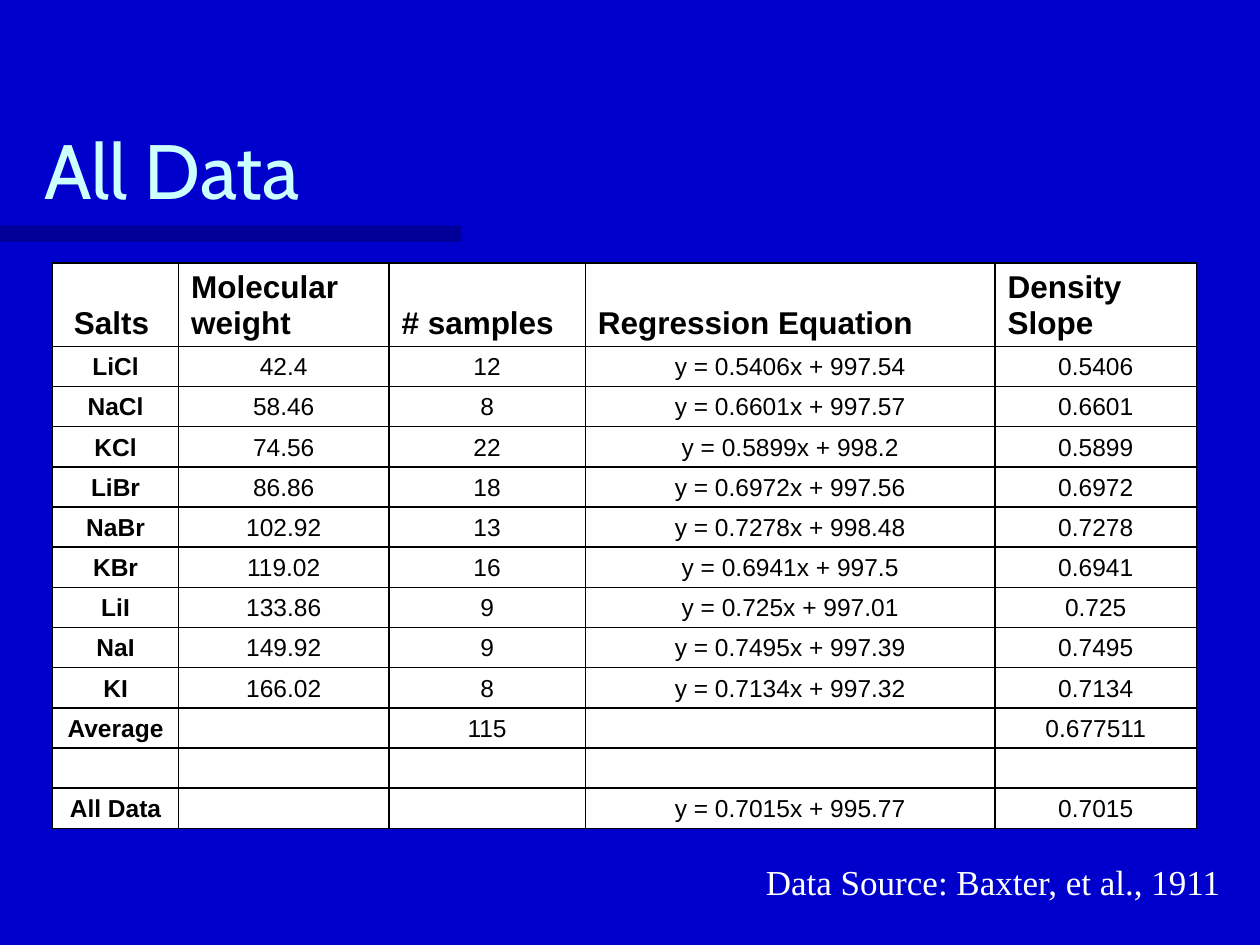
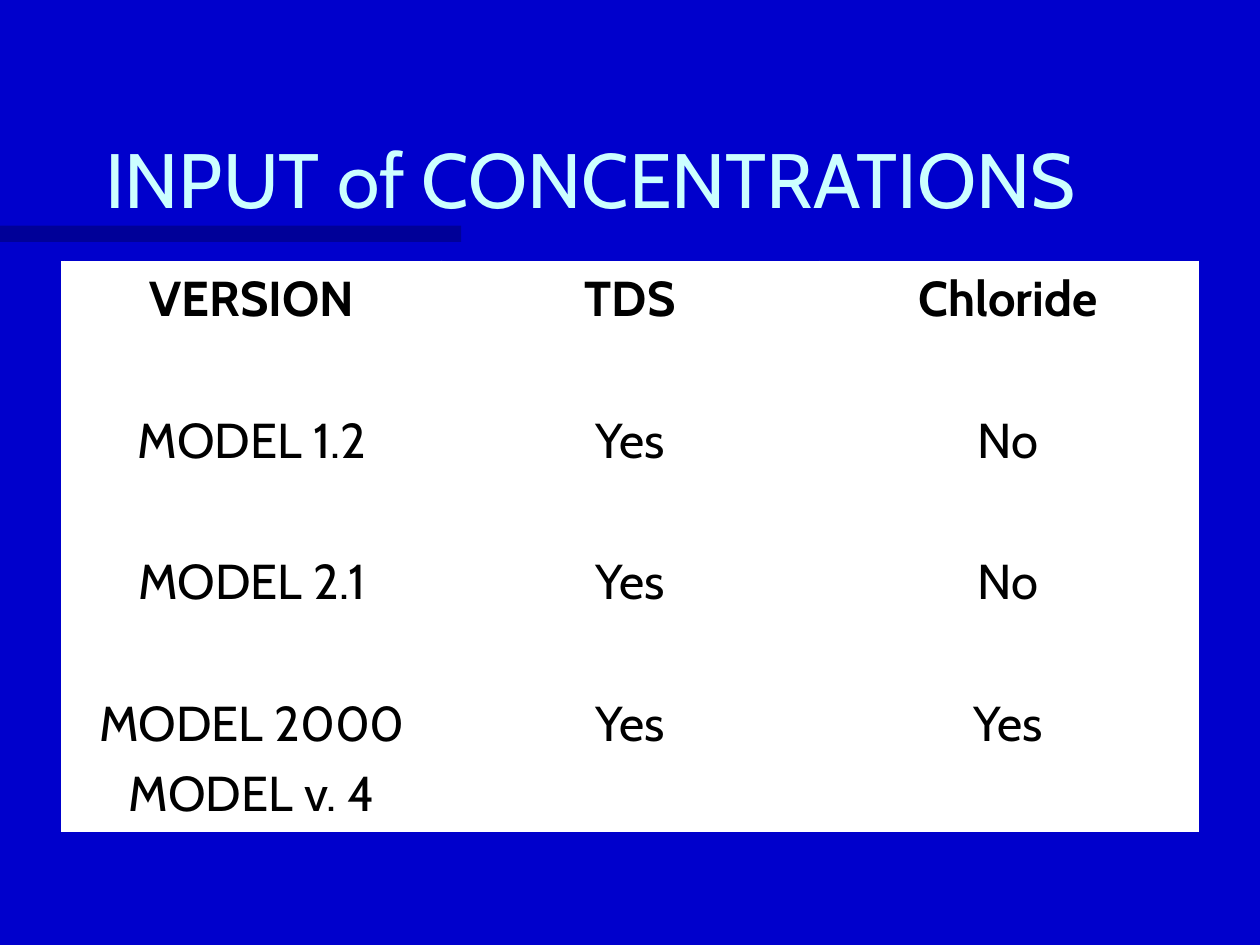
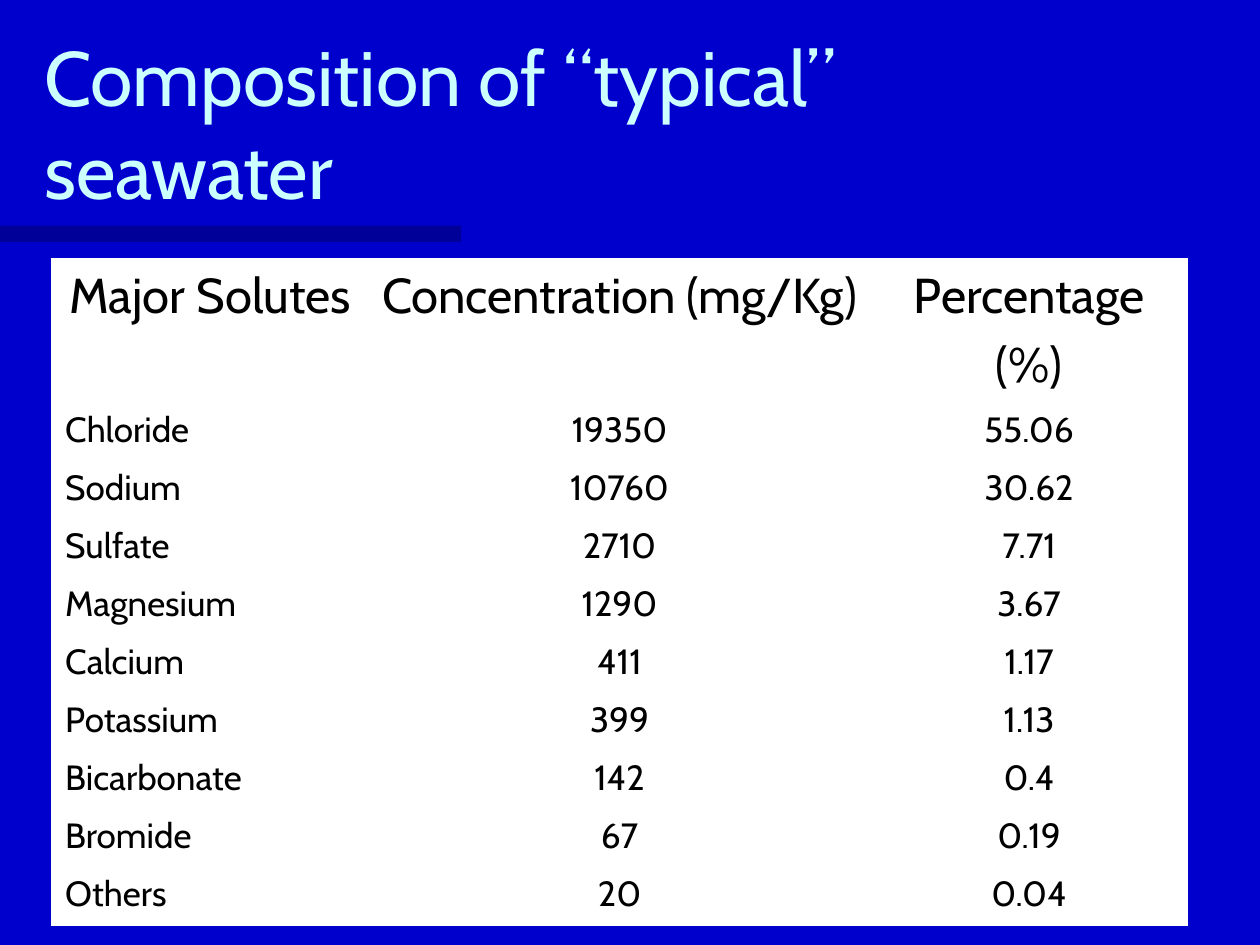
from lxml import etree
from pptx import Presentation
from pptx.dml.color import RGBColor
from pptx.enum.shapes import MSO_SHAPE
from pptx.enum.text import MSO_ANCHOR, MSO_AUTO_SIZE, PP_ALIGN
from pptx.oxml.ns import qn
from pptx.util import Cm, Pt

BLUE = RGBColor(0x00, 0x00, 0xCC)
NAVY = RGBColor(0x00, 0x00, 0x66)
ICE = RGBColor(0xCC, 0xFF, 0xFF)
WHITE = RGBColor(0xFF, 0xFF, 0xFF)
BLACK = RGBColor(0x00, 0x00, 0x00)
LEFT, CENTER = PP_ALIGN.LEFT, PP_ALIGN.CENTER
TOP, BOTTOM = MSO_ANCHOR.TOP, MSO_ANCHOR.BOTTOM
RECTANGLE = MSO_SHAPE.RECTANGLE
NO_AUTOFIT = MSO_AUTO_SIZE.NONE
TITLE_ONLY = 5

# Content
SALTS = [
    (" Salts", "Molecular weight", "# samples", "Regression Equation", "Density Slope"),
    ("LiCl", "42.4", "12", "y = 0.5406x + 997.54", "0.5406"),
    ("NaCl", "58.46", "8", "y = 0.6601x + 997.57", "0.6601"),
    ("KCl", "74.56", "22", "y = 0.5899x + 998.2", "0.5899"),
    ("LiBr", "86.86", "18", "y = 0.6972x + 997.56", "0.6972"),
    ("NaBr", "102.92", "13", "y = 0.7278x + 998.48", "0.7278"),
    ("KBr", "119.02", "16", "y = 0.6941x + 997.5", "0.6941"),
    ("LiI", "133.86", "9", "y = 0.725x + 997.01", "0.725"),
    ("NaI", "149.92", "9", "y = 0.7495x + 997.39", "0.7495"),
    ("KI", "166.02", "8", "y = 0.7134x + 997.32", "0.7134"),
    ("Average", "", "115", "", "0.677511"),
    ("", "", "", "", ""),
    ("All Data", "", "", "y = 0.7015x + 995.77", "0.7015"),
]
VERSIONS = [
    ("VERSION", "TDS", "Chloride"),
    ("MODEL 1.2", "Yes", "No"),
    ("MODEL 2.1", "Yes", "No"),
    ("MODEL 2000\nMODEL v. 4", "Yes", "Yes"),
]
SOLUTES = [
    ("Major Solutes", "Concentration (mg/Kg)", "Percentage\n(%)"),
    ("Chloride", "19350", "55.06"),
    ("Sodium", "10760", "30.62"),
    ("Sulfate", "2710", "7.71"),
    ("Magnesium", "1290", "3.67"),
    ("Calcium", "411", "1.17"),
    ("Potassium", "399", "1.13"),
    ("Bicarbonate", "142", "0.4"),
    ("Bromide", "67", "0.19"),
    ("Others", "20", "0.04"),
]
SOURCE = "Data Source: Baxter, et al., 1911"

# Title boxes and table looks, lengths in centimetres
TITLE_BOX = (0.64, 1.27, 21.59, 3.18)
WIDE_TITLE_BOX = (1.27, 0.81, 22.86, 3.84)
SALT_LOOK = dict(font="Arial", head_size=18, body_size=14, bold_head=True,
                 bold_labels=True, head_align=LEFT, label_align=CENTER,
                 anchor=BOTTOM, pad=0.11, gap=0, line=BLACK, outer=1)
VERSION_LOOK = dict(font="Cabin", head_size=28, body_size=28, bold_head=True,
                    bold_labels=False, head_align=CENTER, label_align=CENTER,
                    anchor=TOP, pad=0.13, gap=0.2, line=WHITE, outer=2.25)
SOLUTE_LOOK = dict(VERSION_LOOK, body_size=20, bold_head=False, label_align=LEFT)


def style_text(para, font, size, color, align=LEFT, bold=False):
    para.alignment = align
    para.font.name = font
    para.font.size = Pt(size)
    para.font.color.rgb = color
    para.font.bold = bold


def set_up_master(deck, page):
    """Give every slide the blue ground and the half-transparent band."""
    master = deck.slide_master
    master.background.fill.solid()
    master.background.fill.fore_color.rgb = BLUE
    band = page.shapes.add_shape(RECTANGLE, 0, Cm(4.55), Cm(9.3), Cm(0.33))
    band.shadow.inherit = False
    band.line.fill.background()
    band.fill.solid()
    band.fill.fore_color.rgb = NAVY
    color = band.element.spPr.find(".//" + qn("a:srgbClr"))
    etree.SubElement(color, qn("a:alpha"), val="50000")
    master.shapes.element.append(band.element)


def set_title(page, text, box=TITLE_BOX, indent=0.25):
    title = page.shapes.title
    title.left, title.top, title.width, title.height = map(Cm, box)
    frame = title.text_frame
    frame.text = text
    frame.auto_size = NO_AUTOFIT
    frame.vertical_anchor = BOTTOM
    frame.margin_left = Cm(indent)
    style_text(frame.paragraphs[0], "Cabin", 44, ICE)


def set_borders(cell, color, widths):
    """Draw the cell borders; widths are in points, by side."""
    properties = cell._tc.get_or_add_tcPr()
    for place, (side, width) in enumerate(widths.items()):
        line = etree.Element(qn("a:ln" + side), w=str(Pt(width)))
        fill = etree.SubElement(line, qn("a:solidFill"))
        etree.SubElement(fill, qn("a:srgbClr"), val=str(color))
        properties.insert(place, line)


def add_grid(page, rows, left, top, widths, head_height, row_height, look):
    last_row, last_column = len(rows) - 1, len(widths) - 1
    height = head_height + last_row * row_height
    frame = page.shapes.add_table(len(rows), len(widths), Cm(left), Cm(top),
                                  Cm(sum(widths)), Cm(height))
    table = frame.table
    for column, width in zip(table.columns, widths):
        column.width = Cm(width)
    for r, values in enumerate(rows):
        head = r == 0
        table.rows[r].height = Cm(head_height if head else row_height)
        size = look["head_size"] if head else look["body_size"]
        for c, value in enumerate(values):
            label = c == 0
            cell = table.cell(r, c)
            cell.text = value
            cell.fill.solid()
            cell.fill.fore_color.rgb = WHITE
            cell.vertical_anchor = look["anchor"]
            cell.margin_top = cell.margin_bottom = Cm(look["pad"])
            if head:
                align, bold = look["head_align"], look["bold_head"]
            elif label:
                align, bold = look["label_align"], look["bold_labels"]
            else:
                align, bold = CENTER, False
            for para in cell.text_frame.paragraphs:
                style_text(para, look["font"], size, BLACK, align, bold)
                para.space_before = Pt(size * look["gap"])
            edges = {"L": label, "R": c == last_column, "T": head, "B": r == last_row}
            set_borders(cell, look["line"],
                        {side: look["outer"] if edge else 1 for side, edge in edges.items()})


def add_source(page):
    box = page.shapes.add_textbox(Cm(15.19), Cm(17.22), Cm(9.75), Cm(1.11))
    box.text_frame.word_wrap = False
    box.text_frame.text = SOURCE
    style_text(box.text_frame.paragraphs[0], "Times New Roman", 20, WHITE)


def main():
    deck = Presentation()
    deck.slide_width, deck.slide_height = Cm(25.4), Cm(19.05)
    layout = deck.slide_layouts[TITLE_ONLY]
    data_page, input_page, sea_page = [deck.slides.add_slide(layout) for _ in range(3)]
    set_up_master(deck, data_page)

    # Regression results by salt
    set_title(data_page, "All Data")
    add_grid(data_page, SALTS, 1.06, 5.3, (2.54, 4.24, 3.96, 8.26, 4.06),
             1.68, 0.81, SALT_LOOK)
    add_source(data_page)

    # Inputs accepted by each version
    set_title(input_page, "INPUT of CONCENTRATIONS", WIDE_TITLE_BOX, indent=0.85)
    add_grid(input_page, VERSIONS, 1.27, 5.29, (7.62,) * 3, 2.86, 2.86, VERSION_LOOK)

    # Seawater solutes
    set_title(sea_page, "Composition of “typical” seawater")
    add_grid(sea_page, SOLUTES, 1.06, 5.24, (6.35, 10.16, 6.35), 2.87, 1.17, SOLUTE_LOOK)

    deck.save("out.pptx")


if __name__ == "__main__":
    main()
